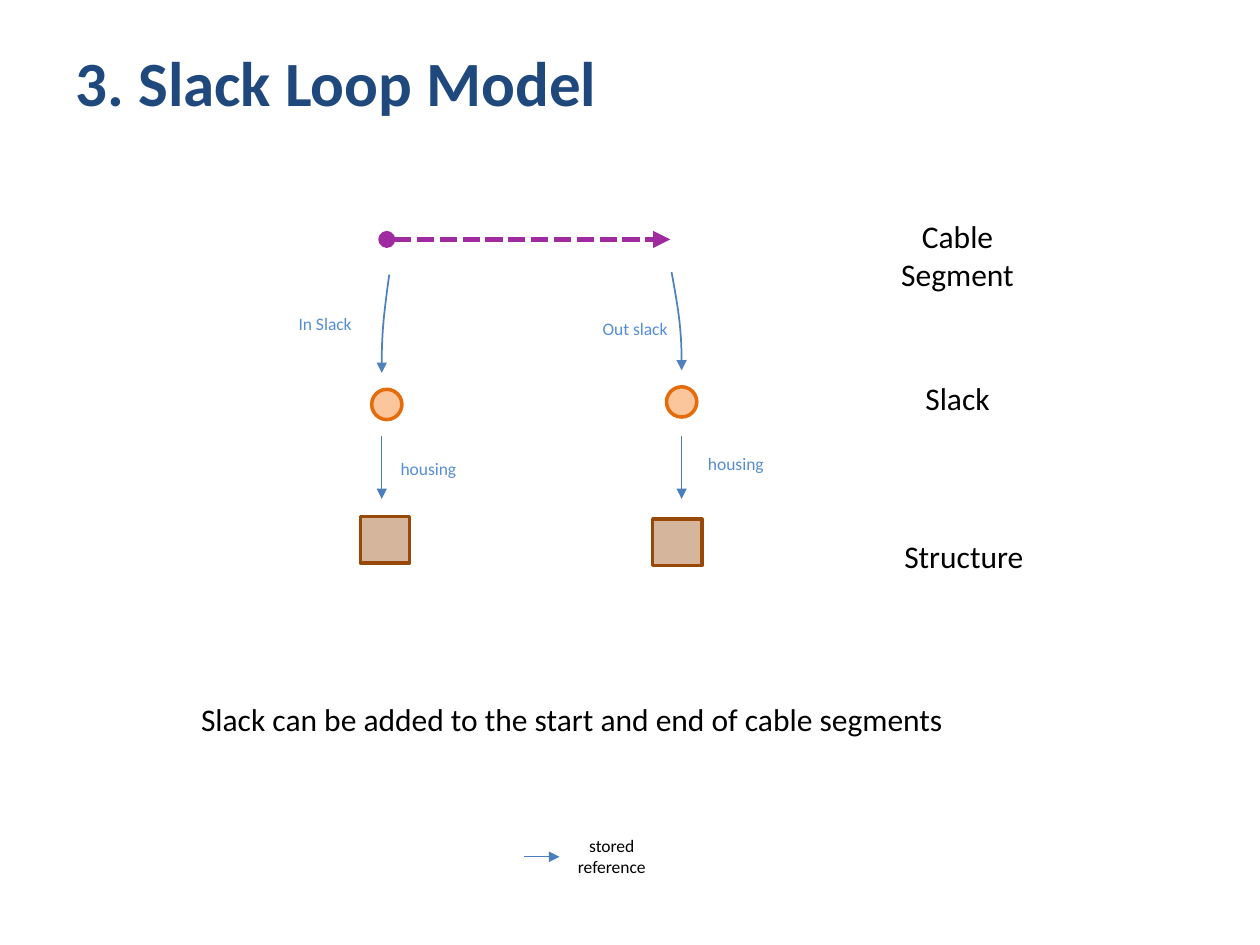
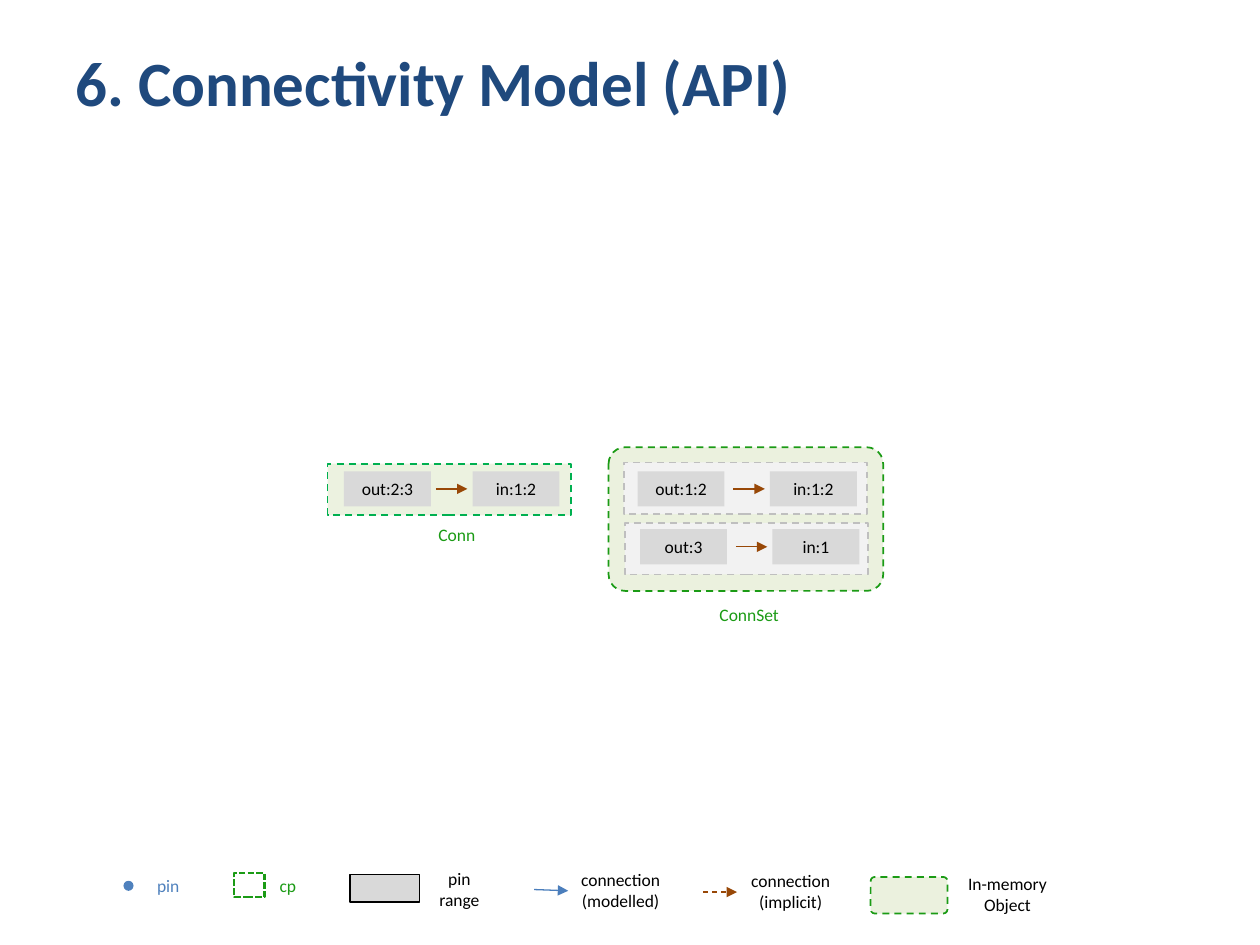
from lxml import etree
from pptx import Presentation
from pptx.dml.color import RGBColor
from pptx.enum.dml import MSO_LINE as Dash
from pptx.enum.shapes import MSO_CONNECTOR as Connector, MSO_SHAPE as Shape
from pptx.enum.text import MSO_ANCHOR as Anchor, PP_ALIGN as Align
from pptx.oxml.ns import qn
from pptx.util import Inches, Pt

FONT = "Calibri"
NAVY, BLACK, GREEN = "1F497D", "000000", "1B9B15"
BLUE, LABEL_BLUE, ARROW_BLUE = "4F81BD", "558ED5", "4B7EBC"
BROWN, PURPLE, ORANGE, PEACH = "984807", "A02AA0", "E46C0A", "FBC69B"
PIN_GREY, FRAME_GREY, FRAME_LINE = "D9D9D9", "F2F2F2", "BFBFBF"
OBJECT_GREEN, CONN_GREEN, CONN_LINE = "EBF1DE", "C3D69B", "00B050"


def color(value):
    return RGBColor.from_string(value)


def bezier(start, control_1, control_2, end, steps=10):
    """Points along a cubic curve, without its start."""
    for step in range(1, steps + 1):
        t = step / steps
        u = 1 - t
        yield tuple(u**3 * a + 3 * u * u * t * b + 3 * u * t * t * c + t**3 * d
                    for a, b, c, d in zip(start, control_1, control_2, end))


class Deck:
    def __init__(self):
        self.presentation = Presentation()
        self.presentation.slide_width = Inches(10)
        self.presentation.slide_height = Inches(7.5)
        self.slide = None

    def new_slide(self, title):
        layout = self.presentation.slide_layouts[6]
        self.slide = self.presentation.slides.add_slide(layout)
        self.text(title, 0.5, 0.3, 9, 0.69, 36, NAVY, bold=True, align=Align.LEFT)

    def fill_text(self, shape, text, size, ink, bold=False, align=Align.CENTER):
        frame = shape.text_frame
        frame.word_wrap = True
        frame.vertical_anchor = Anchor.MIDDLE
        frame.text = text
        for paragraph in frame.paragraphs:
            paragraph.alignment = align
            font = paragraph.font
            font.name, font.size, font.bold = FONT, Pt(size), bold
            font.color.rgb = color(ink)
        return frame

    def text(self, text, left, top, width, height=0.29, size=10, ink=BLACK, **style):
        box = self.slide.shapes.add_textbox(
            Inches(left), Inches(top), Inches(width), Inches(height))
        self.fill_text(box, text, size, ink, **style)

    def stroke(self, line, ink, width, dash=None, head=None, tail=None):
        line.color.rgb = color(ink)
        line.width = Pt(width)
        if dash:
            line.dash_style = dash
        for tag, kind in (("a:headEnd", head), ("a:tailEnd", tail)):
            if kind:
                etree.SubElement(line._get_or_add_ln(), qn(tag), type=kind)

    def shape(self, kind, left, top, width, height, fill=None, ink=None,
              line_width=1, dash=None, opacity=None):
        shape = self.slide.shapes.add_shape(
            kind, Inches(left), Inches(top), Inches(width), Inches(height))
        shape.shadow.inherit = False
        if kind == Shape.ROUNDED_RECTANGLE:
            shape.adjustments[0] = 0.115
        if fill:
            shape.fill.solid()
            shape.fill.fore_color.rgb = color(fill)
        else:
            shape.fill.background()
        if opacity:
            tint = shape._element.spPr.find(".//" + qn("a:srgbClr"))
            etree.SubElement(tint, qn("a:alpha"), val=str(opacity * 1000))
        if ink:
            self.stroke(shape.line, ink, line_width, dash)
        else:
            shape.line.fill.background()
        return shape

    def arrow(self, start, end, ink=ARROW_BLUE, width=0.75, dash=None, head=None):
        points = [Inches(value) for value in (*start, *end)]
        connector = self.slide.shapes.add_connector(Connector.STRAIGHT, *points)
        self.stroke(connector.line, ink, width, dash, head, "triangle")
        etree.SubElement(connector._element.spPr, qn("a:effectLst"))

    def curved_arrow(self, left, top, sway):
        """Drop 0.78 inches while bending sideways by sway."""
        nodes = [(left + sway * across, top + down) for across, down in (
            (0, 0), (0.35, 0.15), (0.7, 0.31), (0.85, 0.44),
            (1, 0.57), (1, 0.67), (1, 0.78))]
        points = [*bezier(*nodes[:4]), *bezier(*nodes[3:])]
        builder = self.slide.shapes.build_freeform(Inches(left), Inches(top))
        builder.add_line_segments(
            [(Inches(x), Inches(y)) for x, y in points], close=False)
        curve = builder.convert_to_shape()
        curve.shadow.inherit = False
        curve.fill.background()
        self.stroke(curve.line, BLUE, 1, tail="triangle")

    def pin_range(self, text, left, top):
        shape = self.shape(Shape.RECTANGLE, left, top, 0.69, 0.28, PIN_GREY)
        frame = self.fill_text(shape, text, 10, BLACK)
        frame.margin_left = frame.margin_right = 0
        frame.margin_top = frame.margin_bottom = 0

    def connection(self, left, top, source, target, source_left, target_left,
                   pin_top, fill=FRAME_GREY, ink=FRAME_LINE, opacity=None):
        """A dashed frame holding two pin ranges joined by an arrow."""
        self.shape(Shape.RECTANGLE, left, top, 1.93, 0.41, fill, ink,
                   dash=Dash.DASH, opacity=opacity)
        self.pin_range(source, source_left, pin_top)
        self.pin_range(target, target_left, pin_top)
        middle = pin_top + 0.14
        self.arrow((target_left - 0.29, middle), (target_left - 0.04, middle), BROWN)

    def memory_object(self, left, top, width, height):
        self.shape(Shape.ROUNDED_RECTANGLE, left, top, width, height,
                   OBJECT_GREEN, GREEN, dash=Dash.DASH)


def slack_loop_slide(deck):
    deck.new_slide("3. Slack Loop Model")
    for name, left, top in (("Cable Segment", 6.93, 1.75),
                            ("Slack", 6.93, 2.88),
                            ("Structure", 6.98, 4.14)):
        deck.text(name, left, top, 1.34, 0.55, 18)
    deck.arrow((3.07, 1.9), (5.32, 1.9), PURPLE, 3.25, Dash.SQUARE_DOT, "oval")

    for left, top in ((2.86, 4.1), (5.18, 4.12)):
        deck.shape(Shape.RECTANGLE, left, top, 0.39, 0.37, BROWN, BROWN, 2, opacity=40)
    for left, top in ((2.95, 3.09), (5.29, 3.07)):
        deck.shape(Shape.OVAL, left, top, 0.24, 0.24, PEACH, ORANGE, 2)
    deck.curved_arrow(3.09, 2.18, -0.06)
    deck.curved_arrow(5.33, 2.16, 0.08)
    for name, left, top in (("In Slack", 1.99, 2.4), ("Out slack", 4.45, 2.44)):
        deck.text(name, left, top, 1.18, 0.33, ink=LABEL_BLUE)
    for x, label_left, label_top in ((3.03, 3.03, 3.57), (5.41, 5.47, 3.53)):
        deck.arrow((x, 3.46), (x, 3.96))
        deck.text("housing", label_left, label_top, 0.74, ink=LABEL_BLUE)

    deck.text("Slack can be added to the start and end of cable segments",
              0.75, 5.46, 7.58, 0.5, 18)
    deck.arrow((4.16, 6.8), (4.44, 6.8))
    deck.text("stored reference", 4.4, 6.65, 0.91)


def connectivity_slide(deck):
    deck.new_slide("6. Connectivity Model (API)")
    deck.connection(2.6, 3.68, "out:2:3", "in:1:2", 2.73, 3.75, 3.74,
                    CONN_GREEN, CONN_LINE, 30)
    deck.text("Conn", 3.07, 4.1, 1.11, ink=GREEN)
    deck.memory_object(4.83, 3.55, 2.18, 1.14)
    deck.connection(4.95, 3.67, "out:1:2", "in:1:2", 5.06, 6.11, 3.74)
    deck.connection(4.96, 4.15, "out:3", "in:1", 5.08, 6.13, 4.2)
    deck.text("ConnSet", 5.39, 4.73, 1.11, ink=GREEN)
    connectivity_legend(deck)


def connectivity_legend(deck):
    deck.shape(Shape.OVAL, 0.98, 6.99, 0.08, 0.08, BLUE)
    deck.shape(Shape.RECTANGLE, 1.86, 6.93, 0.24, 0.19, None, GREEN, 1.25,
               Dash.SQUARE_DOT)
    deck.shape(Shape.RECTANGLE, 2.78, 6.94, 0.55, 0.22, PIN_GREY, BLACK)
    deck.arrow((4.24, 7.06), (4.51, 7.07))
    deck.arrow((5.58, 7.08), (5.85, 7.08), BROWN, dash=Dash.DASH)
    deck.memory_object(6.91, 6.96, 0.61, 0.29)
    for name, left, top, width, ink in (
            ("pin", 1.06, 6.88, 0.55, BLUE),
            ("cp", 2.01, 6.88, 0.55, GREEN),
            ("pin range", 3.37, 6.91, 0.55, BLACK),
            ("connection\n(modelled)", 4.47, 6.92, 0.91, BLACK),
            ("connection\n(implicit)", 5.82, 6.93, 0.91, BLACK),
            ("In-memory Object", 7.52, 6.95, 0.95, BLACK)):
        deck.text(name, left, top, width, ink=ink)


def main():
    deck = Deck()
    slack_loop_slide(deck)
    connectivity_slide(deck)
    deck.presentation.save("out.pptx")


if __name__ == "__main__":
    main()
